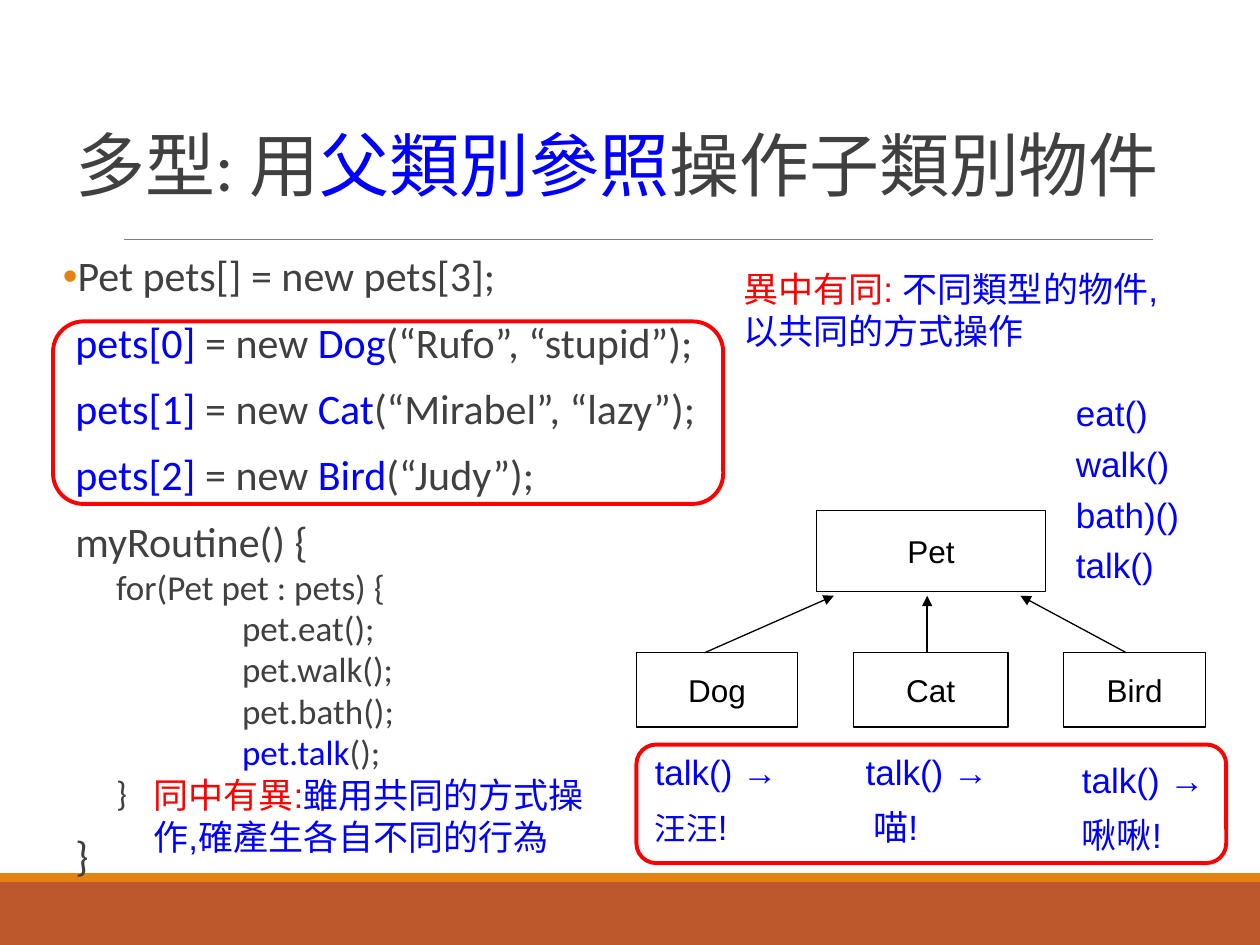
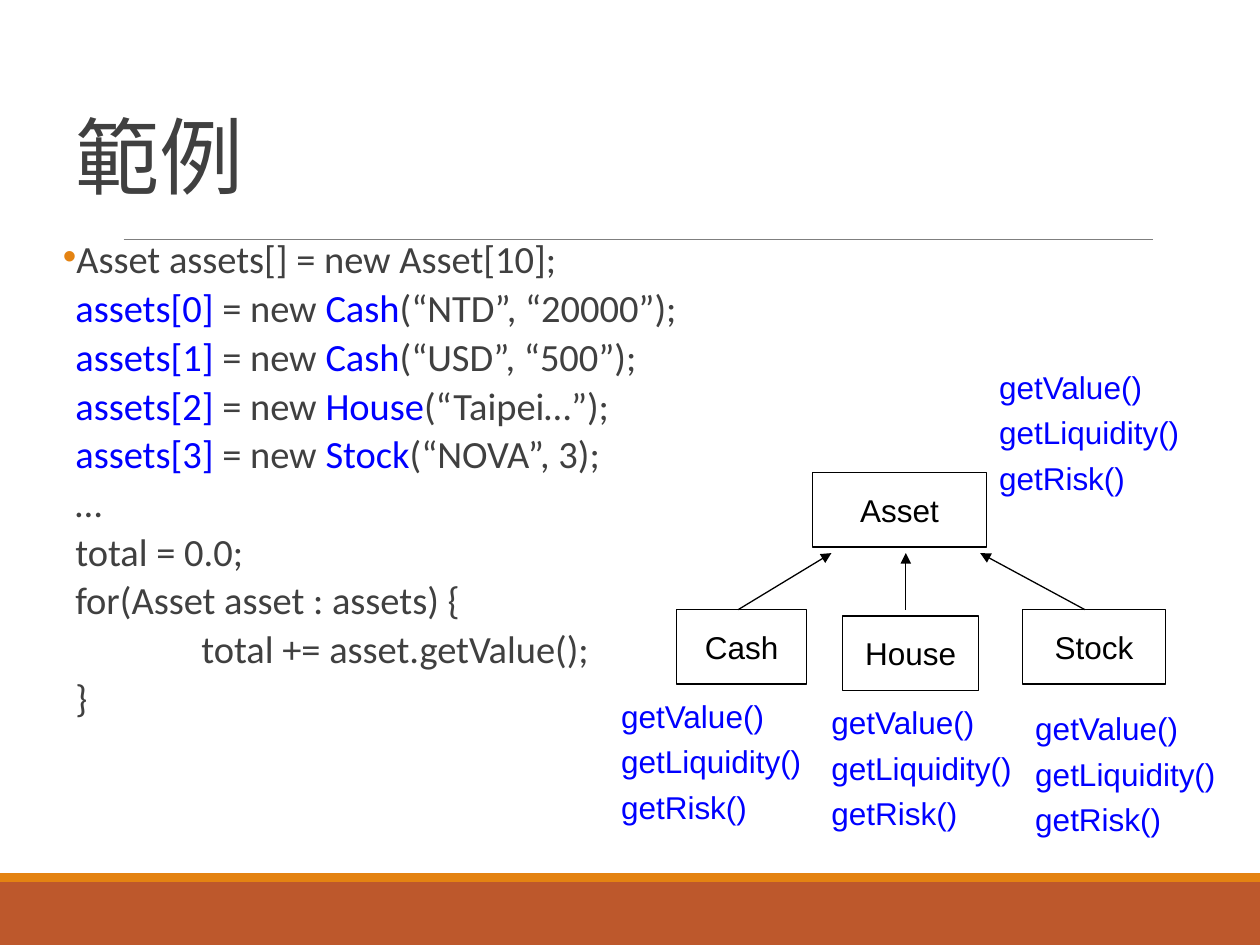
"""Builds two slides on polymorphism: code on the left, a class tree on the right."""
from lxml import etree
from pptx import Presentation, util as u
from pptx.dml.color import RGBColor
from pptx.enum import shapes, text
from pptx.oxml.ns import qn

INK, BLUE, RED, BLACK = "404040", "0000FF", "FF0000", "000000"
RUST, ORANGE, GREY = "BD582C", "E48312", "7F7F7F"
ACCENTS = {"*": BLUE, "~": RED}
SMALLER = {"^": 2}
BANDS = [(RUST, (0, 17.78, 25.4, 1.27)), (ORANGE, (0, 17.6, 25.4, 0.18))]
TITLE_RULE = (2.49, 4.83, 23.24, 4.83)
TITLE_AREA = (1.27, 1.27, 22.86, 3)
STEP, LOOP, BODY, DEEP = 0.25, 1.07, 3.61, 2.79

METHODS = ["getValue()", "getLiquidity()", "getRisk()"]
METHODS_SIZE = (4.24, 2.87)
TALK_SIZE = (3.12, 2.21)

SLIDES = [
    {
        "title": "多型: 用|*父類別參照|操作子類別物件",
        "title_size": 40,
        "code_area": (1.27, 5.03, 22.86, 13),
        "code_size": 24,
        "code_spacing": 0.9,
        "code": [
            (STEP, "Pet pets[] = new pets[3];"),
            (STEP, "*pets[0]| = new |*Dog|(“Rufo”, “stupid”);"),
            (STEP, "*pets[1]| = new |*Cat|(“Mirabel”, “lazy”);"),
            (STEP, "*pets[2]| = new |*Bird|(“Judy”);"),
            (STEP, "myRoutine() {"),
            (LOOP, "for(Pet pet : pets) {"),
            (BODY, "pet.eat();"),
            (BODY, "pet.walk();"),
            (BODY, "pet.bath();"),
            (BODY, "*pet.talk|();"),
            (LOOP, "}"),
            (STEP, "}"),
        ],
        "classes": [
            ("Pet", (16.46, 10.29, 4.62, 1.63)),
            ("Dog", (12.83, 13.16, 3.25, 1.5)),
            ("Cat", (17.2, 13.16, 3.12, 1.5)),
            ("Bird", (21.44, 13.16, 2.87, 1.5)),
        ],
        "arrow_rows": (13.16, 12.01),
        "arrow_columns": [(14.2, 16.81), (18.69, 18.69), (22.71, 20.57)],
        "notes": [
            (["talk() →", "^汪汪|!"], (12.95, 15.01, *TALK_SIZE), 20, 7.5),
            (["talk() →", " 喵!"], (17.2, 15.01, *TALK_SIZE), 20, 7.5),
            (["talk() →", "啾啾!"], (21.56, 15.16, *TALK_SIZE), 20, 7.5),
            (["eat()", "walk()", "bath)()", "talk()"], (21.44, 7.77, 2.74, 4.17), 20, 5),
            (["~異中有同: |不同類型的物件,以共同的方式操作"], (14.73, 5.26, 9.25, 1.96), 20, 12.5),
            (["~同中有異:|雖用共同的方式操作,確產生各自不同的行為"], (2.84, 15.47, 9.63, 1.96), 20, 12.5),
        ],
        "highlights": [(1.07, 6.48, 13.51, 3.68), (12.83, 15.01, 11.89, 2.39)],
    },
    {
        "title": "範例",
        "title_size": 48,
        "code_area": (1.27, 4.95, 22.86, 11.2),
        "code_size": 22,
        "code_spacing": 0.6,
        "code": [
            (STEP, "Asset assets[] = new Asset[10];"),
            (STEP, "*assets[0]| = new |*Cash|(“NTD”, “20000”);"),
            (STEP, "*assets[1]| = new |*Cash|(“USD”, “500”);"),
            (STEP, "*assets[2]| = new |*House|(“Taipei…”);"),
            (STEP, "*assets[3]| = new |*Stock|(“NOVA”, 3);"),
            (STEP, "…"),
            (STEP, "total = 0.0;"),
            (STEP, "for(Asset asset : assets) {"),
            (DEEP, "total += asset.getValue();"),
            (STEP, "}"),
        ],
        "classes": [
            ("Asset", (16.38, 9.53, 3.51, 1.5)),
            ("Cash", (13.64, 12.29, 2.62, 1.5)),
            ("House", (16.99, 12.42, 2.74, 1.5)),
            ("Stock", (20.62, 12.29, 2.87, 1.5)),
        ],
        "arrow_rows": (12.29, 11.15),
        "arrow_columns": [(14.88, 16.76), (18.26, 18.26), (21.87, 19.76)],
        "notes": [
            (METHODS, (*corner, *METHODS_SIZE), 18, 4.5)
            for corner in [(19.89, 7.29), (12.27, 13.92), (16.51, 14.05), (20.62, 14.17)]
        ],
        "highlights": [],
    },
]


def rgb(code):
    return RGBColor.from_string(code)


def cm(lengths):
    return [u.Cm(length) for length in lengths]


def apply(target, values):
    for key, value in values.items():
        setattr(target, key, value)


def write(paragraph, marked, font, size, color, **spacing):
    apply(paragraph, spacing)
    paragraph._p.get_or_add_pPr().set("hangingPunct", "0")
    for piece in marked.split("|"):
        mark = piece[:1]
        run = paragraph.add_run()
        run.text = piece.lstrip("*~^")
        apply(run.font, {"name": font, "size": u.Pt(size - SMALLER.get(mark, 0))})
        run.font.color.rgb = rgb(ACCENTS.get(mark, color))


def add_paragraphs(frame, count):
    return [frame.paragraphs[0]] + [frame.add_paragraph() for _ in range(count - 1)]


def add_frame(slide, area, **values):
    frame = slide.shapes.add_textbox(*cm(area)).text_frame
    apply(frame, {"word_wrap": True, **values})
    return frame


def add_outline(slide, preset, area, color, width):
    outline = slide.shapes.add_shape(preset, *cm(area))
    outline.shadow.inherit = False
    outline.fill.background()
    outline.line.color.rgb = rgb(color)
    outline.line.width = u.Pt(width)
    return outline


def add_line(slide, ends, color, width, arrow=False):
    line = slide.shapes.add_connector(shapes.MSO_CONNECTOR.STRAIGHT, *cm(ends))
    line.line.color.rgb = rgb(color)
    line.line.width = u.Pt(width)
    properties = line._element.spPr
    if arrow:
        etree.SubElement(properties.find(qn("a:ln")), qn("a:tailEnd"), type="triangle")
    etree.SubElement(properties, qn("a:effectLst"))


def add_base(slide):
    for color, area in BANDS:
        band = slide.shapes.add_shape(shapes.MSO_SHAPE.RECTANGLE, *cm(area))
        band.shadow.inherit = False
        band.fill.solid()
        band.fill.fore_color.rgb = rgb(color)
        band.line.fill.background()
    add_line(slide, TITLE_RULE, GREY, 0.5)


def add_code(slide, page):
    frame = add_frame(slide, page["code_area"], margin_left=0, margin_right=0)
    lines = add_paragraphs(frame, len(page["code"]))
    for paragraph, (indent, code) in zip(lines, page["code"]):
        nested = indent in (LOOP, BODY)
        write(paragraph, code, "Calibri", 20 if nested else page["code_size"], INK,
              line_spacing=page["code_spacing"], space_before=u.Pt(2 if nested else 12))
        paragraph._p.get_or_add_pPr().set("marL", str(u.Cm(indent)))
    first = lines[0]._p.get_or_add_pPr()
    first.set("indent", str(-u.Cm(STEP)))
    bullet_color = etree.SubElement(first, qn("a:buClr"))
    etree.SubElement(bullet_color, qn("a:srgbClr"), val=ORANGE)
    etree.SubElement(first, qn("a:buFont"), typeface="Arial")
    etree.SubElement(first, qn("a:buChar"), char="•")


def add_class_tree(slide, page):
    for name, area in page["classes"]:
        frame = add_outline(slide, shapes.MSO_SHAPE.RECTANGLE, area, BLACK, 0.75).text_frame
        apply(frame, {"word_wrap": False, "vertical_anchor": text.MSO_ANCHOR.MIDDLE})
        write(frame.paragraphs[0], name, "Arial", 18, BLACK, alignment=text.PP_ALIGN.CENTER)
    child_row, parent_row = page["arrow_rows"]
    for child, parent in page["arrow_columns"]:
        add_line(slide, (child, child_row, parent, parent_row), BLACK, 0.75, arrow=True)


def add_notes(slide, page):
    for lines, area, size, gap in page["notes"]:
        frame = add_frame(slide, area)
        for paragraph, line in zip(add_paragraphs(frame, len(lines)), lines):
            write(paragraph, line, "Arial", size, BLUE, space_before=u.Pt(gap))
    for area in page["highlights"]:
        add_outline(slide, shapes.MSO_SHAPE.ROUNDED_RECTANGLE, area, RED, 2.25)


def main():
    deck = Presentation()
    apply(deck, {"slide_width": u.Cm(25.4), "slide_height": u.Cm(19.05)})
    for page in SLIDES:
        slide = deck.slides.add_slide(deck.slide_layouts[6])
        add_base(slide)
        title = add_frame(slide, TITLE_AREA, vertical_anchor=text.MSO_ANCHOR.BOTTOM)
        write(title.paragraphs[0], page["title"], "Calibri", page["title_size"], INK,
              line_spacing=0.85)
        add_code(slide, page)
        add_class_tree(slide, page)
        add_notes(slide, page)
    deck.save("out.pptx")


if __name__ == "__main__":
    main()
